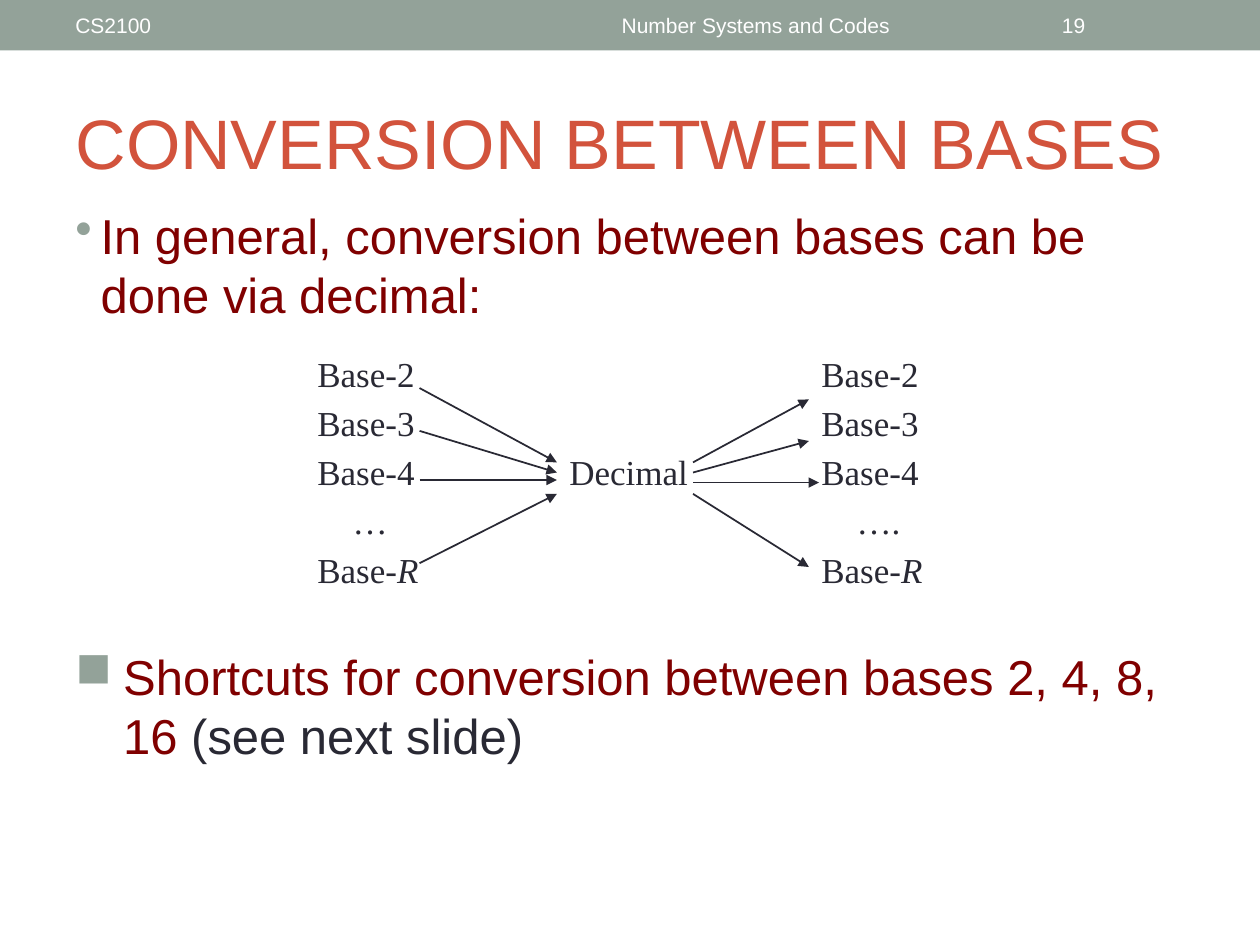
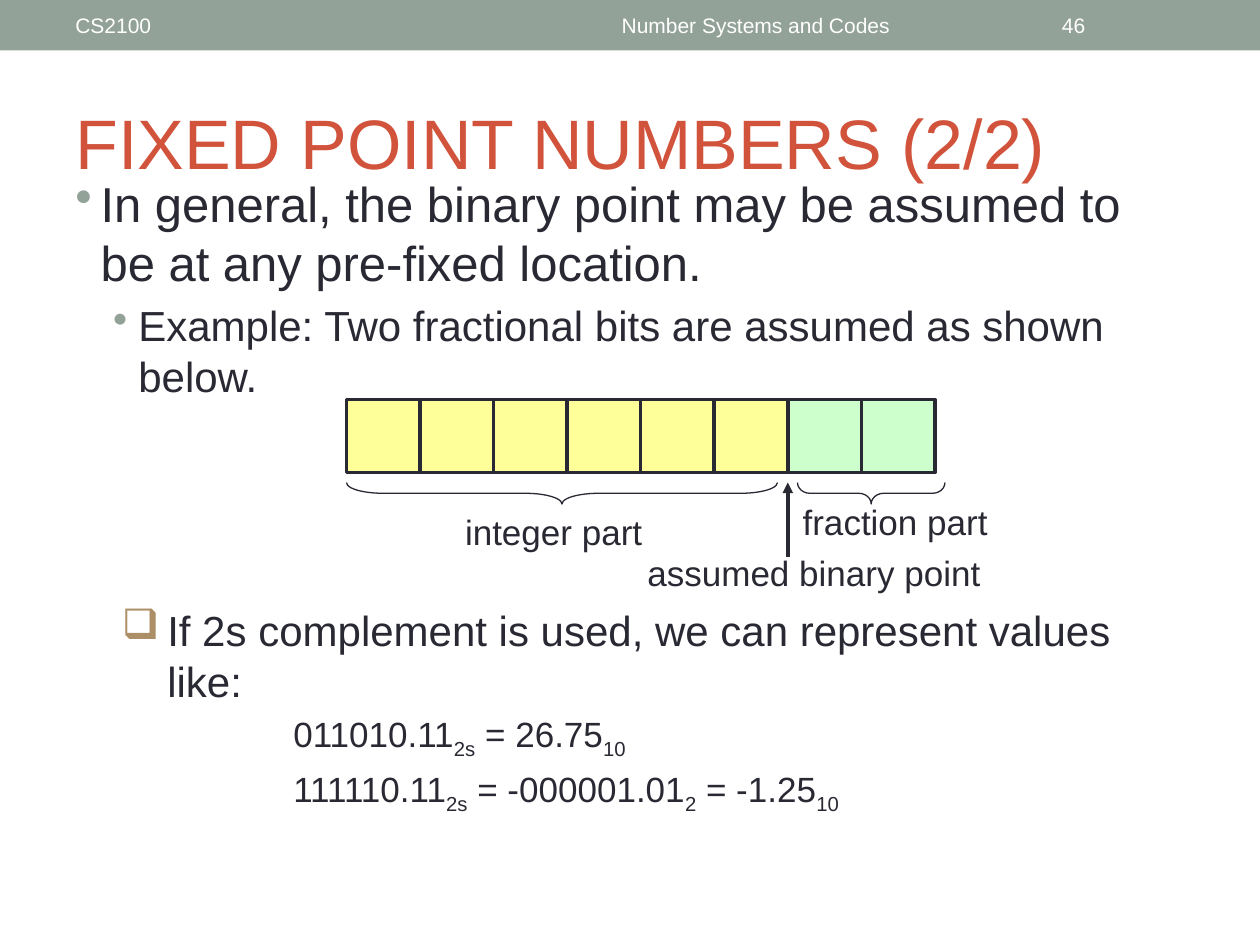
from lxml import etree
from pptx import Presentation
from pptx.dml.color import RGBColor
from pptx.enum.shapes import MSO_CONNECTOR, MSO_SHAPE
from pptx.enum.text import MSO_ANCHOR, MSO_AUTO_SIZE, PP_ALIGN
from pptx.oxml.ns import qn
from pptx.util import Inches, Pt

SAGE = RGBColor(0x93, 0xA2, 0x99)
TAN = RGBColor(0xAD, 0x8F, 0x67)
BRICK = RGBColor(0xD2, 0x53, 0x3C)
MAROON = RGBColor(0x80, 0x00, 0x00)
INK = RGBColor(0x29, 0x29, 0x34)
WHITE = RGBColor(0xFF, 0xFF, 0xFF)
YELLOW = RGBColor(0xFF, 0xFF, 0x99)
GREEN = RGBColor(0xCC, 0xFF, 0xCC)

SANS, SERIF = "Arial", "Times New Roman"
INSETS = {
    "margin_left": Inches(0.1), "margin_right": Inches(0.1),
    "margin_top": Inches(0.05), "margin_bottom": Inches(0.05),
    "word_wrap": True, "auto_size": MSO_AUTO_SIZE.NONE,
}


def apply(target, values):
    """Set every attribute in values on the target."""
    for name, value in values.items():
        setattr(target, name, value)


def add_run(paragraph, text, size, color=INK, font=SANS, italic=False, sub=False):
    """Append one formatted run."""
    run = paragraph.add_run()
    run.text = text
    apply(run.font, {"size": Pt(size), "name": font, "italic": italic})
    run.font.color.rgb = color
    if sub:
        run.font._element.set("baseline", "-25000")


def set_indent(paragraph, left, hanging=0):
    """Set the left margin and hanging indent in inches."""
    props = paragraph._p.get_or_add_pPr()
    props.set("marL", str(Inches(left)))
    props.set("indent", str(-Inches(hanging)))
    return props


def add_bullet(paragraph, char, color, left, hanging):
    """Give the paragraph a coloured bullet."""
    props = set_indent(paragraph, left, hanging)
    bullet_color = etree.SubElement(props, qn("a:buClr"))
    etree.SubElement(bullet_color, qn("a:srgbClr"), val=str(color))
    etree.SubElement(props, qn("a:buChar"), char=char)


def add_tabs(paragraph, stops):
    """Set left tab stops in inches."""
    tabs = etree.SubElement(paragraph._p.get_or_add_pPr(), qn("a:tabLst"))
    for stop in stops:
        etree.SubElement(tabs, qn("a:tab"), pos=str(Inches(stop)), algn="l")


def add_frame(slide, left, top, width, height, anchor=MSO_ANCHOR.TOP):
    """Add an empty text box and return its frame."""
    box = slide.shapes.add_textbox(*map(Inches, (left, top, width, height)))
    apply(box.text_frame, {**INSETS, "vertical_anchor": anchor})
    return box.text_frame


def add_label(slide, box, text, size, color=INK, align=PP_ALIGN.CENTER, anchor=MSO_ANCHOR.TOP):
    """Add a one-line label in the given box."""
    paragraph = add_frame(slide, *box, anchor).paragraphs[0]
    paragraph.alignment = align
    add_run(paragraph, text, size, color)


def add_shape(slide, kind, box, fill=None, line=None, weight=1):
    """Add a preset shape with the given fill and outline."""
    shape = slide.shapes.add_shape(kind, *map(Inches, box))
    shape.shadow.inherit = False
    if fill is None:
        shape.fill.background()
    else:
        shape.fill.solid()
        shape.fill.fore_color.rgb = fill
    if line is None:
        shape.line.fill.background()
    else:
        shape.line.color.rgb = line
        shape.line.width = Pt(weight)
    return shape


def add_arrow(slide, start, end, weight):
    """Draw a straight arrow from start to end."""
    arrow = slide.shapes.add_connector(MSO_CONNECTOR.STRAIGHT, *map(Inches, (*start, *end)))
    arrow.line.color.rgb = INK
    arrow.line.width = Pt(weight)
    etree.SubElement(arrow.line._get_or_add_ln(), qn("a:tailEnd"), type="triangle")
    etree.SubElement(arrow._element.spPr, qn("a:effectLst"))


def add_base_slide(deck, title, number):
    """Add a slide with the header band, its texts and the title."""
    slide = deck.slides.add_slide(deck.slide_layouts[5])
    add_shape(slide, MSO_SHAPE.RECTANGLE, (0, 0, 10, 0.4), SAGE)
    header = [
        (0.5, 3.17, "CS2100", PP_ALIGN.LEFT),
        (3.75, 4.5, "Number Systems and Codes", PP_ALIGN.CENTER),
        (8.33, 1.17, number, PP_ALIGN.LEFT),
    ]
    for left, width, text, align in header:
        add_label(slide, (left, 0.02, width, 0.36), text, 12, WHITE, align, MSO_ANCHOR.MIDDLE)
    heading = slide.shapes.title
    apply(heading, {"left": Inches(0.5), "top": Inches(0.58),
                    "width": Inches(9), "height": Inches(1.08)})
    apply(heading.text_frame, {**INSETS, "vertical_anchor": MSO_ANCHOR.MIDDLE})
    paragraph = heading.text_frame.paragraphs[0]
    paragraph.alignment = PP_ALIGN.LEFT
    add_run(paragraph, title, 40, BRICK)
    return slide


def add_base_diagram(slide, left, top):
    """Draw the base lists and the arrows through decimal."""
    frame = add_frame(slide, left, top, 5.3, 2.03)
    rows = [
        ((4,), ["Base-2\tBase-2"]),
        ((4,), ["Base-3\tBase-3"]),
        ((2, 4), ["Base-4\tDecimal\tBase-4"]),
        ((0.28, 4.28), ["\t…\t…."]),
        ((4,), ["Base-", "R", "\tBase-", "R"]),
    ]
    for index, (stops, texts) in enumerate(rows):
        paragraph = frame.add_paragraph() if index else frame.paragraphs[0]
        add_tabs(paragraph, stops)
        if index:
            paragraph.space_before = Pt(4)
        for text in texts:
            add_run(paragraph, text, 20, font=SERIF, italic=text == "R")

    into_decimal = [(0.33, 0.92), (0.67, 1), (1.06, 1.06), (1.72, 1.17)]
    for start, end in into_decimal:
        add_arrow(slide, (left + 0.91, top + start), (left + 2, top + end), 1)
    from_decimal = [(0.92, 4, 0.42), (1, 4, 0.75), (1.08, 4.08, 1.08), (1.17, 4, 1.75)]
    for start, reach, end in from_decimal:
        add_arrow(slide, (left + 3.08, top + start), (left + reach, top + end), 1)


def add_brace(slide, left, top, width, curve):
    """Draw a downward brace that spans the given width."""
    depth = 0.17
    box = (left + (width - depth) / 2, top - (width - depth) / 2, depth, width)
    brace = add_shape(slide, MSO_SHAPE.LEFT_BRACE, box, line=INK, weight=0.75)
    brace.rotation = 270
    brace.adjustments[0] = curve


def add_bit_diagram(slide, left, top):
    """Draw eight bits, their braces and the assumed binary point."""
    bits, integer_bits, row_width = 8, 6, 4.67
    pitch = row_width / bits
    point = left + integer_bits * pitch
    add_arrow(slide, (point, top + 1.25), (point, top + 0.66), 2)
    labels = [
        (2, 1.16, 3.42, "assumed binary point"),
        (0.83, 0.83, 1.63, "integer part"),
        (3.5, 0.75, 1.71, "fraction part"),
    ]
    for across, down, width, text in labels:
        add_label(slide, (left + across, top + down, width, 0.43), text, 20)
    for bit in reversed(range(bits)):
        color = YELLOW if bit < integer_bits else GREEN
        add_shape(slide, MSO_SHAPE.RECTANGLE, (left + bit * pitch, top, pitch, 0.58), color, INK, 2)
    add_brace(slide, left + 3.58, top + 0.66, 1.17, 0.58)
    add_brace(slide, left, top + 0.66, 3.42, 1.71)


def build_conversion(deck):
    """Build the slide on conversion between bases."""
    slide = add_base_slide(deck, "CONVERSION BETWEEN BASES", "19")
    general = add_frame(slide, 0.5, 1.58, 9, 1.25).paragraphs[0]
    add_bullet(general, "•", SAGE, 0.2, 0.2)
    add_run(general, "In general, conversion between bases can be done via decimal:", 28, MAROON)
    shortcuts = add_frame(slide, 0.5, 5.08, 9, 1.17).paragraphs[0]
    add_bullet(shortcuts, "■", SAGE, 0.38, 0.38)
    add_run(shortcuts, "Shortcuts for conversion between bases 2, 4, 8, 16 ", 28, MAROON)
    add_run(shortcuts, "(see next slide)", 28)
    add_base_diagram(slide, 2.42, 2.75)


def build_fixed_point(deck):
    """Build the slide on fixed point numbers."""
    slide = add_base_slide(deck, "FIXED POINT NUMBERS (2/2)", "46")
    intro = add_frame(slide, 0.5, 1.33, 9, 2.33)
    general = intro.paragraphs[0]
    add_bullet(general, "•", SAGE, 0.2, 0.2)
    add_run(general, "In general, the binary point may be assumed to be at any pre-fixed location.", 28)
    example = intro.add_paragraph()
    example.level = 1
    add_bullet(example, "•", SAGE, 0.5, 0.2)
    example.space_before = Pt(4.8)
    add_run(example, "Example: Two fractional bits are assumed as shown below.", 24)

    values = add_frame(slide, 0.5, 4.75, 9, 2)
    complement = values.paragraphs[0]
    complement.level = 1
    add_bullet(complement, "❑", TAN, 0.73, 0.36)
    add_run(complement, "If 2s complement is used, we can represent values like:", 24)
    equations = [
        [("011010.11", "2s"), (" = 26.75", "10")],
        [("111110.11", "2s"), (" = -000001.01", "2"), (" = -1.25", "10")],
    ]
    for equation in equations:
        paragraph = values.add_paragraph()
        paragraph.level = 1
        set_indent(paragraph, 1.73)
        paragraph.space_before = Pt(4)
        for digits, base in equation:
            add_run(paragraph, digits, 20)
            add_run(paragraph, base, 20, sub=True)
    add_bit_diagram(slide, 2.75, 3.17)


def main():
    """Build and save the deck."""
    deck = Presentation()
    deck.slide_width, deck.slide_height = Inches(10), Inches(7.5)
    build_conversion(deck)
    build_fixed_point(deck)
    deck.save("out.pptx")


if __name__ == "__main__":
    main()
